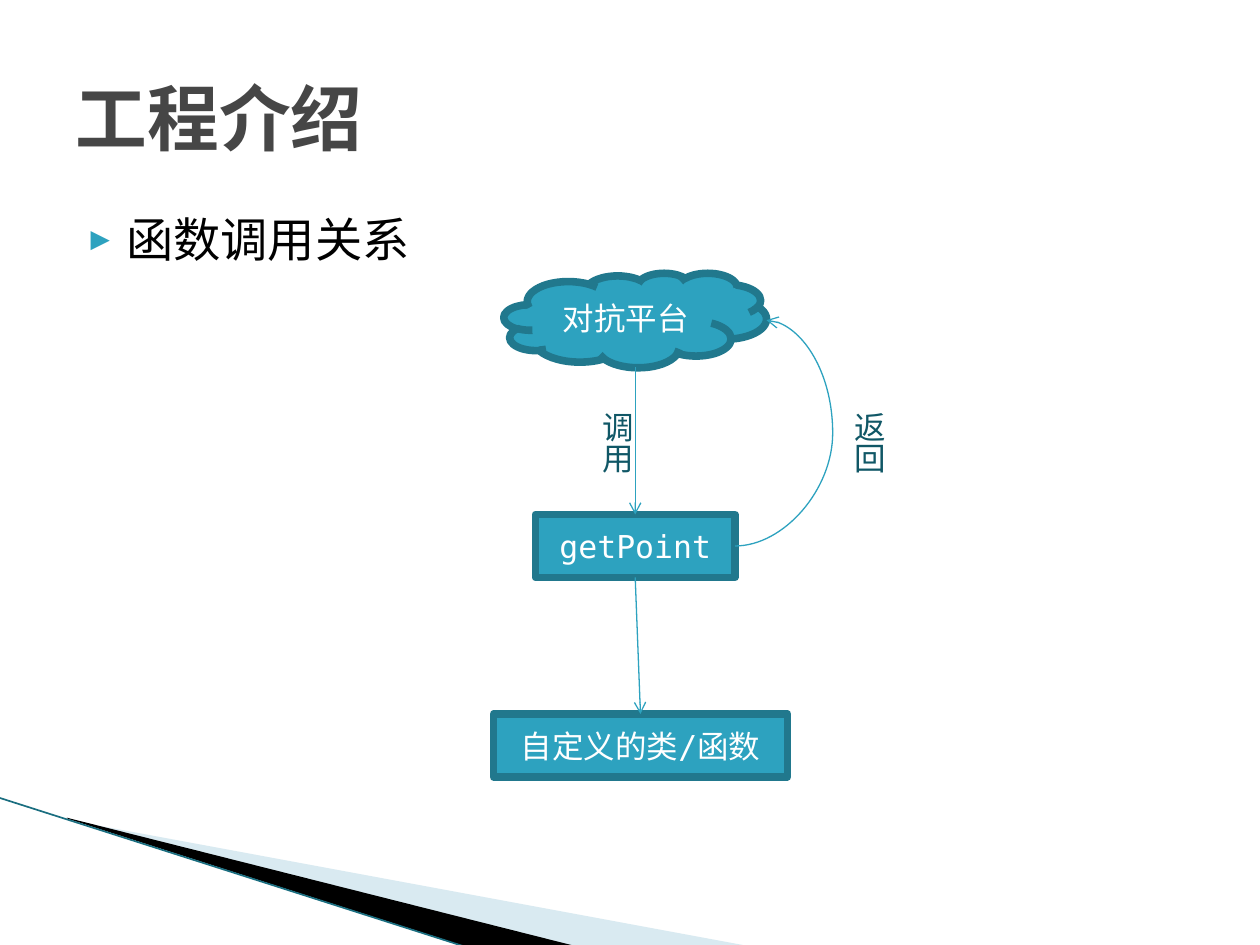
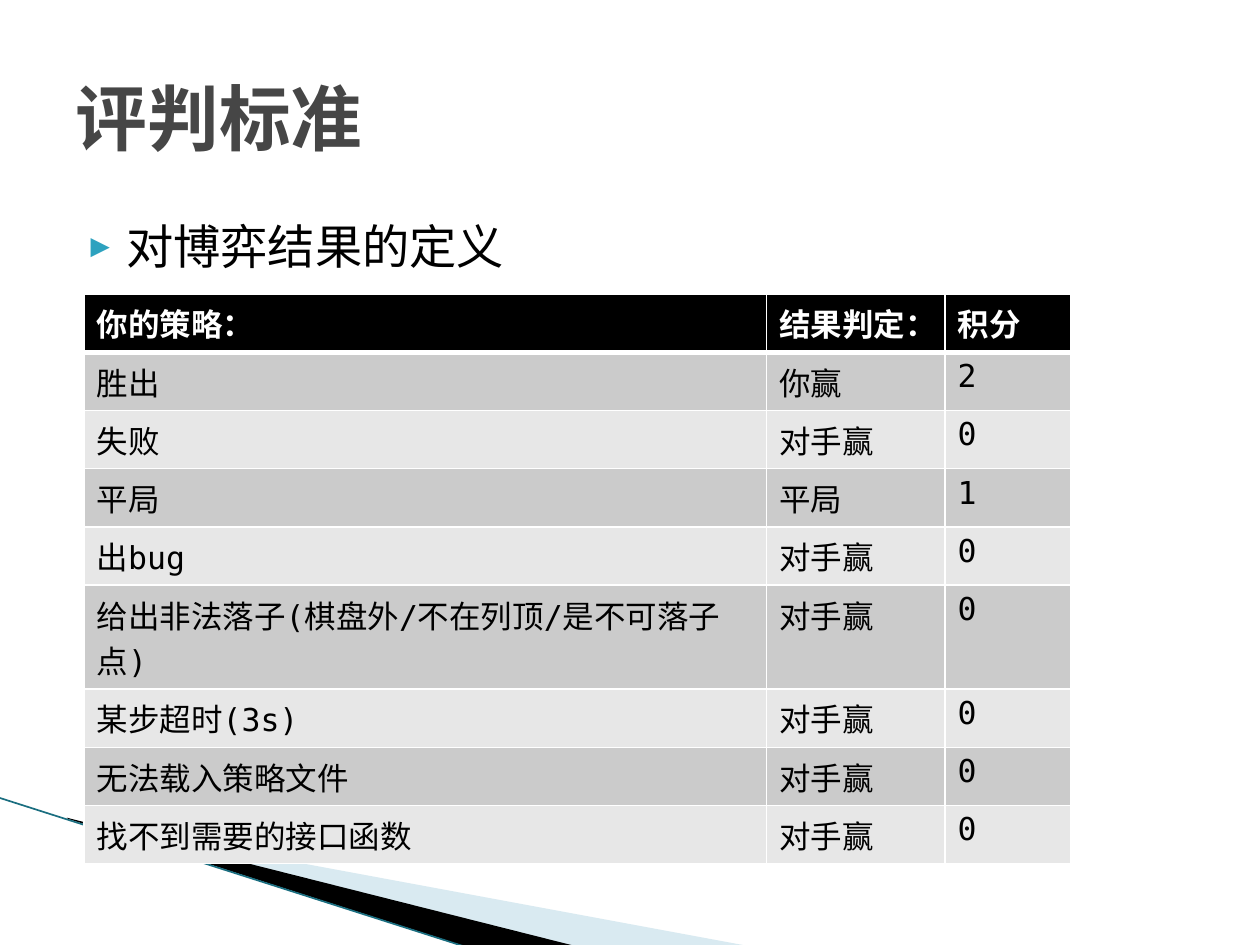
"""Builds two slides: a call diagram of the functions and a table of scoring rules."""
import dataclasses
import typing

import lxml.etree
import pptx
import pptx.dml.color
import pptx.enum.shapes
import pptx.enum.text
import pptx.oxml.ns
import pptx.shapes.connector
import pptx.slide
import pptx.text.text
import pptx.util

Pt = pptx.util.Pt
qn = pptx.oxml.ns.qn
Shapes = pptx.enum.shapes.MSO_SHAPE
Connectors = pptx.enum.shapes.MSO_CONNECTOR
Anchor = pptx.enum.text.MSO_ANCHOR
Align = pptx.enum.text.PP_ALIGN
AutoSize = pptx.enum.text.MSO_AUTO_SIZE
Point = tuple[float, float]

FONT = "DejaVu Sans Mono"
COLORS = {
    "title": "464646",
    "text": "000000",
    "white": "FFFFFF",
    "accent": "2DA2BF",
    "outline": "21788D",
    "label": "105766",
    "pale_band": "A0CBDC",
    "dark_band": "000000",
    "band_line": "1A6E80",
    "header_row": "000000",
    "odd_row": "CBCBCB",
    "even_row": "E7E7E7",
}


@dataclasses.dataclass(frozen=True)
class Band:
    points: list[Point]
    color: str
    opacity: int = 100


@dataclasses.dataclass(frozen=True)
class Node:
    text: str
    kind: Shapes
    left: float
    top: float
    width: float
    height: float

    @property
    def top_middle(self) -> Point:
        return self.left + self.width / 2, self.top

    @property
    def bottom_middle(self) -> Point:
        return self.left + self.width / 2, self.top + self.height

    @property
    def right_middle(self) -> Point:
        return self.left + self.width, self.top + self.height / 2


@dataclasses.dataclass(frozen=True)
class Arrow:
    start: Point
    end: Point
    bend: typing.Optional[int] = None


@dataclasses.dataclass(frozen=True)
class Label:
    text: str
    left: float
    top: float


BANDS = [
    Band([(39.6, 468.7), (428.4, 540.7), (328.3, 540.7), (39.6, 468)], "pale_band", 40),
    Band([(38.2, 467.3), (329, 540.7), (267.8, 541.4), (38.9, 468)], "dark_band"),
]
PLATFORM = Node("对抗平台", Shapes.CLOUD, 288, 156, 150, 54)
GET_POINT = Node("getPoint", Shapes.RECTANGLE, 306, 294, 114, 36)
CUSTOM_CODE = Node("自定义的类/函数", Shapes.RECTANGLE, 282, 408, 168, 36)
ARROWS = [
    Arrow(PLATFORM.bottom_middle, GET_POINT.top_middle),
    Arrow(GET_POINT.bottom_middle, CUSTOM_CODE.top_middle),
    Arrow(GET_POINT.right_middle, PLATFORM.right_middle, bend=310200),
]
LABELS = [Label("调用", 330, 228), Label("返回", 474, 228)]
RULES = [
    ("你的策略：", "结果判定：", "积分"),
    ("胜出", "你赢", "2"),
    ("失败", "对手赢", "0"),
    ("平局", "平局", "1"),
    ("出bug", "对手赢", "0"),
    ("给出非法落子(棋盘外/不在列顶/是不可落子点)", "对手赢", "0"),
    ("某步超时(3s)", "对手赢", "0"),
    ("无法载入策略文件", "对手赢", "0"),
    ("找不到需要的接口函数", "对手赢", "0"),
]
COLUMN_WIDTHS = [390, 102, 72]
ROW_HEIGHT = 29.28


def rgb(name: str) -> pptx.dml.color.RGBColor:
    return pptx.dml.color.RGBColor.from_string(COLORS[name])


def add_element(parent: typing.Any, tag: str, **attributes: str) -> typing.Any:
    return lxml.etree.SubElement(parent, qn(tag), attributes)


def format_paragraph(paragraph: pptx.text.text._Paragraph, size: float, color: str,
                     bold: bool = False) -> None:
    font = paragraph.font
    font.name, font.size, font.bold = FONT, Pt(size), bold
    font.color.rgb = rgb(color)


def place(shape: typing.Any, left: float, top: float, width: float, height: float) -> None:
    shape.left, shape.top, shape.width, shape.height = map(Pt, (left, top, width, height))


def add_line(slide: pptx.slide.Slide, kind: Connectors, start: Point, end: Point,
             color: str, width: float) -> pptx.shapes.connector.Connector:
    connector = slide.shapes.add_connector(kind, *map(Pt, (*start, *end)))
    connector.line.color.rgb = rgb(color)
    connector.line.width = Pt(width)
    add_element(connector.element.spPr, "a:effectLst")
    return connector


def add_bands(slide: pptx.slide.Slide) -> None:
    for band in BANDS:
        first, *others = [(Pt(x), Pt(y)) for x, y in band.points]
        builder = slide.shapes.build_freeform(*first)
        builder.add_line_segments(others, close=True)
        shape = builder.convert_to_shape()
        shape.shadow.inherit = False
        shape.fill.solid()
        shape.fill.fore_color.rgb = rgb(band.color)
        shape.line.fill.background()
        if band.opacity < 100:
            color = shape.element.spPr.find(qn("a:solidFill")).find(qn("a:srgbClr"))
            add_element(color, "a:alpha", val=str(band.opacity * 1000))
    add_line(slide, Connectors.STRAIGHT, (-0.7, 455.8), (267.1, 541.4), "band_line", 0.95)


def add_content_slide(presentation: typing.Any, title: str, bullet: str,
                      body_top: float) -> pptx.slide.Slide:
    slide = presentation.slides.add_slide(presentation.slide_layouts[1])
    add_bands(slide)

    heading = slide.shapes.title
    place(heading, 36, 21.6, 648, 90)
    heading.text_frame.text = title
    heading.text_frame.auto_size = AutoSize.NONE
    heading.text_frame.vertical_anchor = Anchor.MIDDLE
    paragraph = heading.text_frame.paragraphs[0]
    paragraph.alignment = Align.LEFT
    format_paragraph(paragraph, 41, "title", bold=True)

    body = slide.placeholders[1]
    place(body, 36, body_top, 648, 356.4)
    body.text_frame.text = bullet
    body.text_frame.auto_size = AutoSize.NONE
    paragraph = body.text_frame.paragraphs[0]
    paragraph.space_before = Pt(4)
    properties = paragraph._p.get_or_add_pPr()
    properties.set("marL", str(Pt(28.8)))
    properties.set("indent", str(Pt(-20.16)))
    bullet_color = add_element(properties, "a:buClr")
    add_element(bullet_color, "a:srgbClr", val=COLORS["accent"])
    add_element(properties, "a:buSzPct", val="68000")
    add_element(properties, "a:buFont", typeface=FONT)
    add_element(properties, "a:buChar", char="▶")
    format_paragraph(paragraph, 27, "text")
    return slide


def add_node(slide: pptx.slide.Slide, node: Node) -> None:
    shape = slide.shapes.add_shape(
        node.kind, *map(Pt, (node.left, node.top, node.width, node.height)))
    shape.shadow.inherit = False
    shape.fill.solid()
    shape.fill.fore_color.rgb = rgb("accent")
    shape.line.color.rgb = rgb("outline")
    shape.line.width = Pt(4.33)
    shape.text_frame.text = node.text
    shape.text_frame.vertical_anchor = Anchor.MIDDLE
    paragraph = shape.text_frame.paragraphs[0]
    paragraph.alignment = Align.CENTER
    format_paragraph(paragraph, 18, "white")


def add_arrow(slide: pptx.slide.Slide, arrow: Arrow) -> None:
    kind = Connectors.STRAIGHT if arrow.bend is None else Connectors.CURVE
    connector = add_line(slide, kind, arrow.start, arrow.end, "accent", 0.75)
    properties = connector.element.spPr
    add_element(properties.find(qn("a:ln")), "a:tailEnd", type="arrow")
    if arrow.bend is not None:
        adjustments = properties.find(qn("a:prstGeom")).find(qn("a:avLst"))
        add_element(adjustments, "a:gd", name="adj1", fmla=f"val {arrow.bend}")


def add_label(slide: pptx.slide.Slide, label: Label) -> None:
    box = slide.shapes.add_textbox(*map(Pt, (label.left, label.top, 36.72, 43.92)))
    box.text_frame.text = label.text
    box.text_frame.word_wrap = False
    box.text_frame.auto_size = AutoSize.SHAPE_TO_FIT_TEXT
    box.element.txBody.find(qn("a:bodyPr")).set("vert", "eaVert")
    format_paragraph(box.text_frame.paragraphs[0], 18, "label")


def format_cell(cell: typing.Any, row_index: int) -> None:
    properties = cell._tc.get_or_add_tcPr()
    widths = {"L": 1, "R": 1, "T": 3 if row_index == 1 else 1, "B": 3 if row_index == 0 else 1}
    for side, width in widths.items():
        border = add_element(properties, f"a:ln{side}", w=str(Pt(width)))
        add_element(add_element(border, "a:solidFill"), "a:srgbClr", val=COLORS["white"])
    is_header = row_index == 0
    fill_name = "header_row" if is_header else "odd_row" if row_index % 2 else "even_row"
    cell.fill.solid()
    cell.fill.fore_color.rgb = rgb(fill_name)
    format_paragraph(cell.text_frame.paragraphs[0], 18, "white" if is_header else "text", is_header)


def add_rules_table(slide: pptx.slide.Slide) -> None:
    frame = slide.shapes.add_table(
        len(RULES), len(COLUMN_WIDTHS), Pt(48), Pt(168),
        Pt(sum(COLUMN_WIDTHS)), Pt(ROW_HEIGHT * len(RULES)))
    table = frame.table
    for column, width in zip(table.columns, COLUMN_WIDTHS):
        column.width = Pt(width)
    for row_index, (row, texts) in enumerate(zip(table.rows, RULES)):
        row.height = Pt(ROW_HEIGHT)
        for cell, text in zip(row.cells, texts):
            cell.text = text
            format_cell(cell, row_index)


def main() -> None:
    presentation = pptx.Presentation()
    presentation.slide_width, presentation.slide_height = Pt(720), Pt(540)

    calls_slide = add_content_slide(presentation, "工程介绍", "函数调用关系", 116.64)
    for node in (GET_POINT, CUSTOM_CODE, PLATFORM):
        add_node(calls_slide, node)
    for arrow in ARROWS:
        add_arrow(calls_slide, arrow)
    for label in LABELS:
        add_label(calls_slide, label)

    rules_slide = add_content_slide(presentation, "评判标准", "对博弈结果的定义", 120.24)
    add_rules_table(rules_slide)

    presentation.save("out.pptx")


if __name__ == "__main__":
    main()
